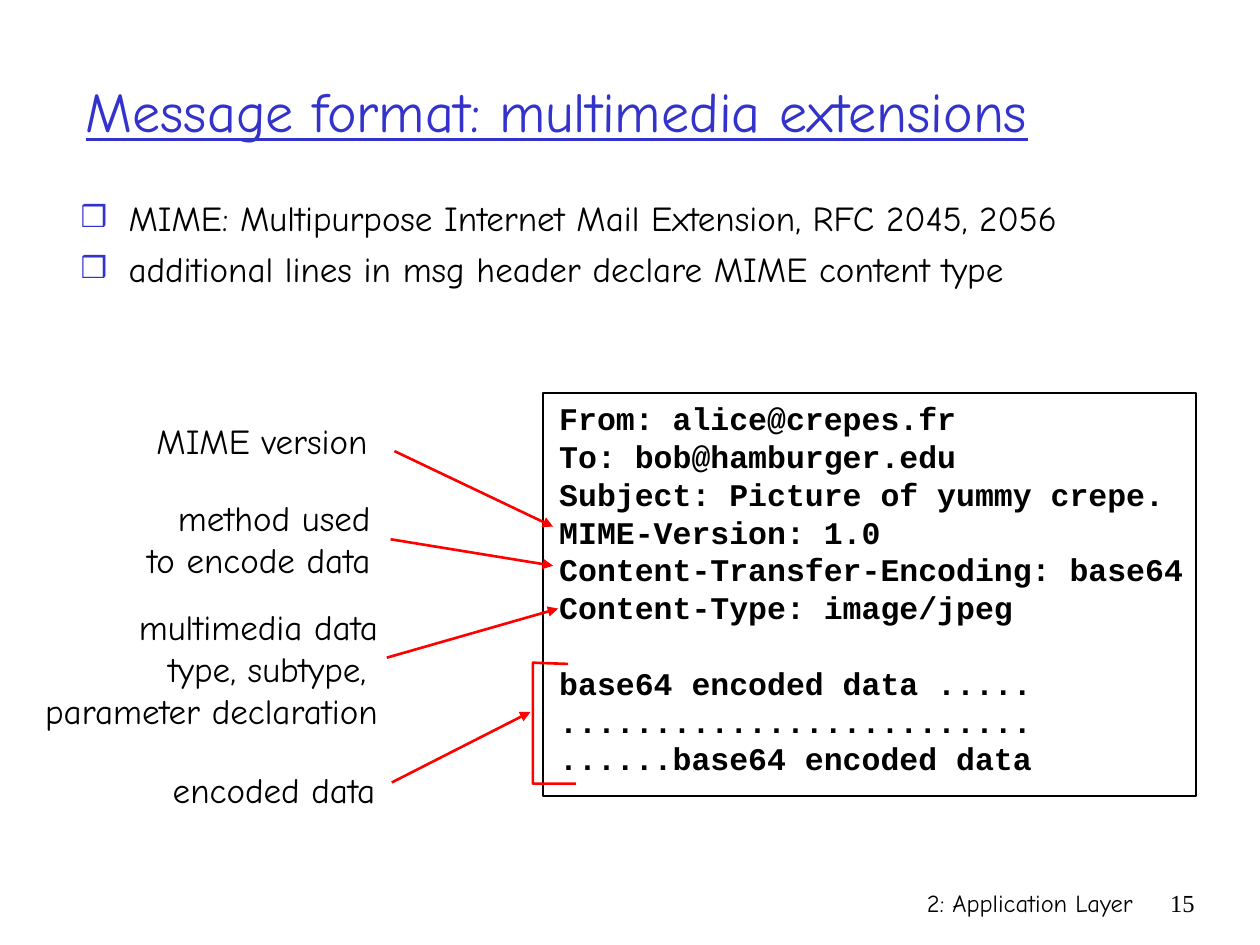
from lxml.etree import SubElement
from pptx import Presentation
from pptx.dml.color import RGBColor
from pptx.enum.shapes import MSO_CONNECTOR as Connector, MSO_SHAPE as Shape
from pptx.enum.text import MSO_ANCHOR as Anchor, MSO_AUTO_SIZE as AutoSize, PP_ALIGN as Align
from pptx.oxml.ns import qn
from pptx.util import Inches, Pt

WIDTH, HEIGHT = Inches(10), Inches(7.5)
COLUMNS, ROWS = 100, 75
BLACK, BLUE, RED = "000000", "3333CC", "FF0000"
HAND, MONO, SERIF = "Comic Neue", "Courier New", "Times New Roman"


def color(value):
    return RGBColor.from_string(value)


def point(column, row):
    return round(column * WIDTH / COLUMNS), round(row * HEIGHT / ROWS)


def area(column, row, columns, rows):
    return *point(column, row), *point(columns, rows)


def place(shape, box):
    shape.left, shape.top, shape.width, shape.height = area(*box)


def write(frame, lines, size=20, font=HAND, fill=BLACK, align=Align.LEFT,
          bold=False, underline=False, before=0):
    for index, line in enumerate(lines):
        paragraph = frame.paragraphs[0] if index == 0 else frame.add_paragraph()
        paragraph.alignment = align
        paragraph.space_before = Pt(before)
        run = paragraph.add_run()
        run.text = line
        run.font.size = Pt(size)
        run.font.name = font
        run.font.bold = bold
        run.font.underline = underline
        run.font.color.rgb = color(fill)


def add_text(slide, box, lines, wrap=True, **style):
    frame = slide.shapes.add_textbox(*area(*box)).text_frame
    frame.word_wrap = wrap
    write(frame, lines, **style)
    return frame


def add_title(slide, box, text):
    title = slide.shapes.title
    place(title, box)
    title.text_frame.auto_size = AutoSize.NONE
    title.text_frame.vertical_anchor = Anchor.MIDDLE
    write(title.text_frame, [text], size=32, fill=BLUE, underline=True)


def add_bullets(slide, box, lines):
    body = slide.placeholders[1]
    place(body, box)
    body.text_frame.auto_size = AutoSize.NONE
    write(body.text_frame, lines, before=5)
    for paragraph in body.text_frame.paragraphs:
        properties = paragraph._p.get_or_add_pPr()
        properties.set("marL", str(Inches(0.38)))
        properties.set("indent", str(-Inches(0.38)))
        bullet_color = SubElement(properties, qn("a:buClr"))
        SubElement(bullet_color, qn("a:srgbClr"), val=BLUE)
        SubElement(properties, qn("a:buSzPct"), val="85000")
        SubElement(properties, qn("a:buChar"), char="❒")


def set_outline(shape, value, width):
    shape.line.color.rgb = color(value)
    shape.line.width = Pt(width)


def add_frame(slide, box):
    frame = slide.shapes.add_shape(Shape.RECTANGLE, *area(*box))
    frame.shadow.inherit = False
    frame.fill.background()
    set_outline(frame, BLACK, 1)


def add_arrow(slide, start, end):
    arrow = slide.shapes.add_connector(Connector.STRAIGHT, *point(*start), *point(*end))
    set_outline(arrow, RED, 1.5)
    SubElement(arrow.line._get_or_add_ln(), qn("a:tailEnd"), type="triangle")
    SubElement(arrow._element.spPr, qn("a:effectLst"))


def add_bracket(slide, corners):
    first, *others = [point(*corner) for corner in corners]
    builder = slide.shapes.build_freeform(*first)
    builder.add_line_segments(others, close=False)
    bracket = builder.convert_to_shape()
    bracket.shadow.inherit = False
    bracket.fill.background()
    set_outline(bracket, RED, 1.5)


def add_message(slide):
    header = [
        "From: alice@crepes.fr",
        "To: bob@hamburger.edu",
        "Subject: Picture of yummy crepe.",
        "MIME-Version: 1.0",
        "Content-Transfer-Encoding: base64",
        "Content-Type: image/jpeg",
    ]
    data = ["base64 encoded data .....", "." * 25, "......base64 encoded data"]
    frame = add_text(slide, (43.4, 31.2, 54.4, 34), header + data,
                     size=18, font=MONO, bold=True)
    frame.paragraphs[len(header)].space_before = Pt(21.6)
    add_frame(slide, (43.1, 31.2, 51.8, 32))


def add_labels(slide):
    labels = [
        ((11.4, 32.8, 18.8, 4.4), ["MIME version"], Align.CENTER,
         (31.3, 35.8), (43.9, 41.8)),
        ((10.5, 38.9, 19.9, 7.7), ["method used", "to encode data"], Align.RIGHT,
         (31, 42.8), (43.9, 44.9)),
        ((2.4, 47.6, 28.6, 11),
         ["multimedia data", "type, subtype, ", "parameter declaration"], Align.RIGHT,
         (30.7, 52.2), (44.3, 48.3)),
        ((12.7, 60.5, 18.1, 4.4), ["encoded data"], Align.CENTER,
         (31.1, 62.1), (42.1, 56.5)),
    ]
    for box, lines, align, start, end in labels:
        add_text(slide, box, lines, wrap=False, align=align)
        add_arrow(slide, start, end)


def main():
    presentation = Presentation()
    presentation.slide_width, presentation.slide_height = WIDTH, HEIGHT
    slide = presentation.slides.add_slide(presentation.slide_layouts[1])
    add_title(slide, (5.8, 2.5, 91.7, 12.5), "Message format: multimedia extensions")
    add_bullets(slide, (5.4, 15.1, 90.1, 50.8), [
        "MIME: Multipurpose Internet Mail Extension, RFC 2045, 2056",
        "additional lines in msg header declare MIME content type",
    ])
    add_text(slide, (59.2, 70, 31.7, 5), ["2: Application Layer"],
             size=14, align=Align.RIGHT)
    add_text(slide, (90.8, 70, 5, 5), ["15"], size=14, font=SERIF, align=Align.RIGHT)
    add_message(slide)
    add_labels(slide)
    add_bracket(slide, [(45.1, 52.7), (42.3, 52.6), (42.3, 62.2), (45.7, 62.2)])
    presentation.save("out.pptx")


if __name__ == "__main__":
    main()
